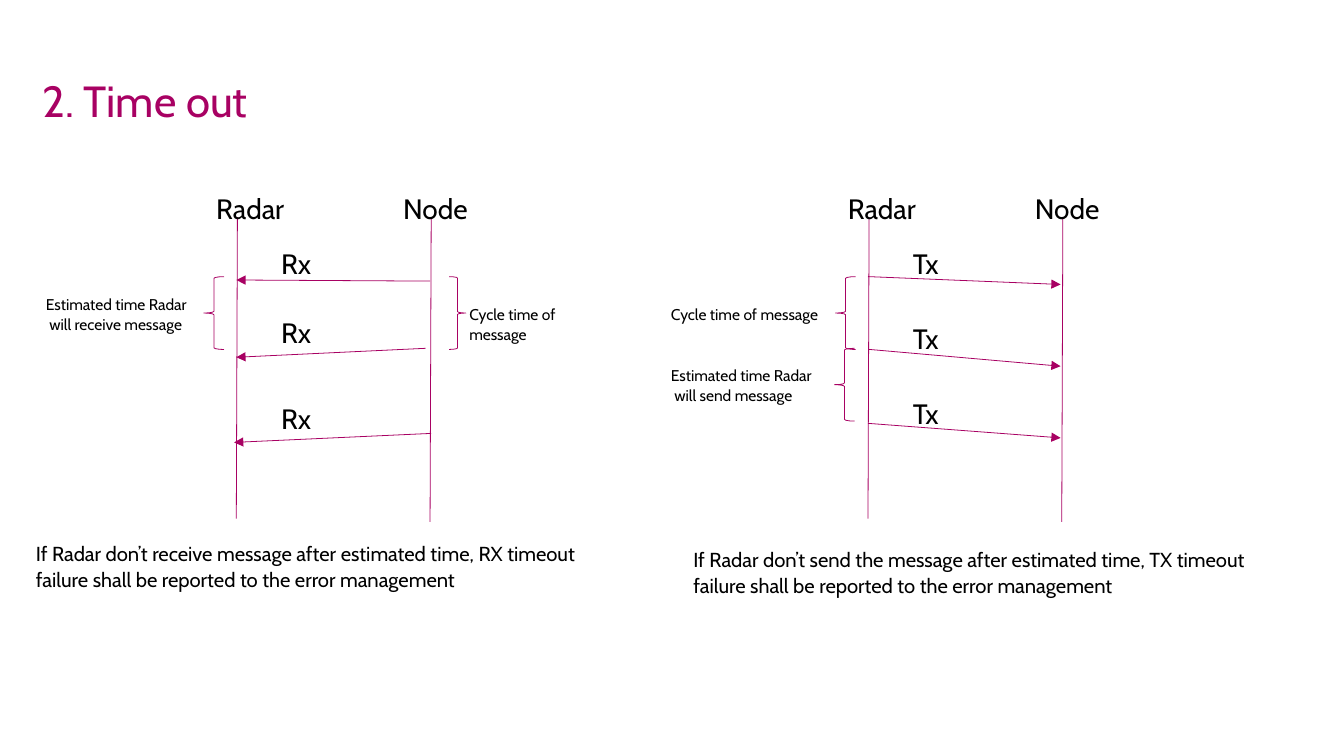
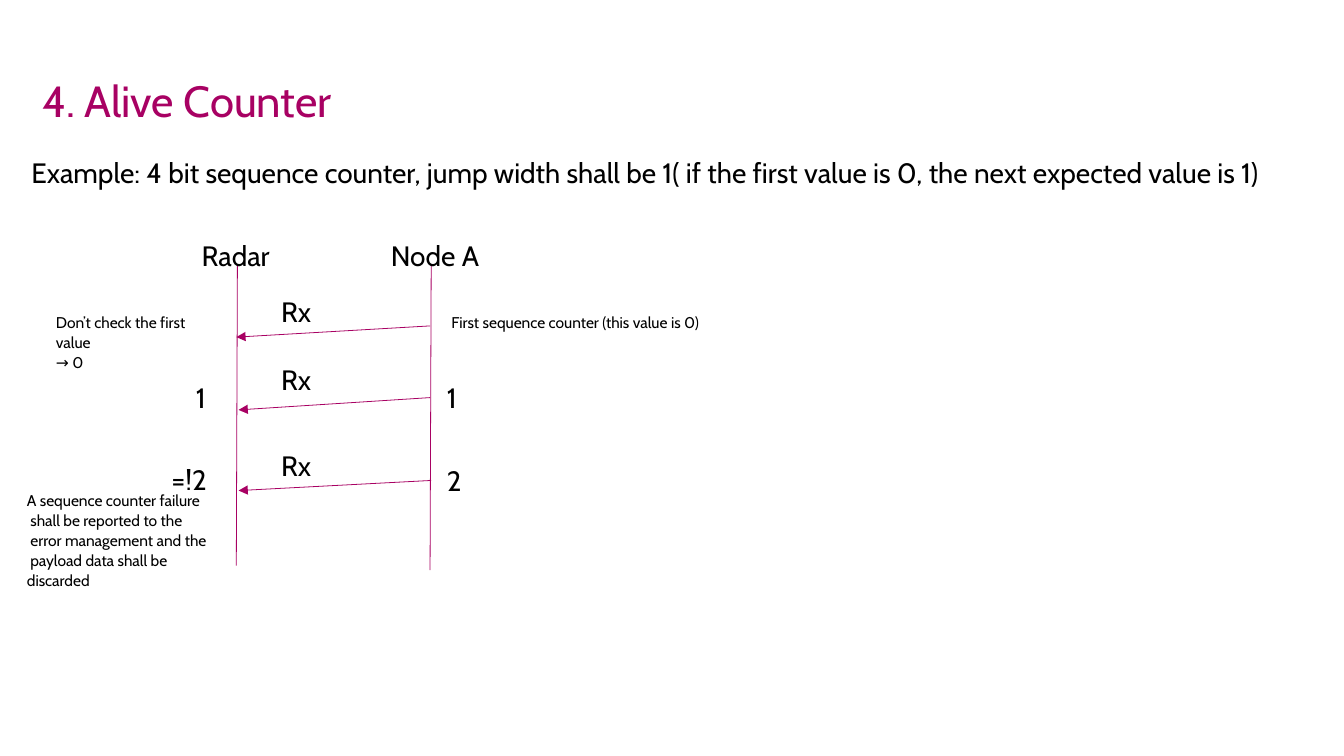
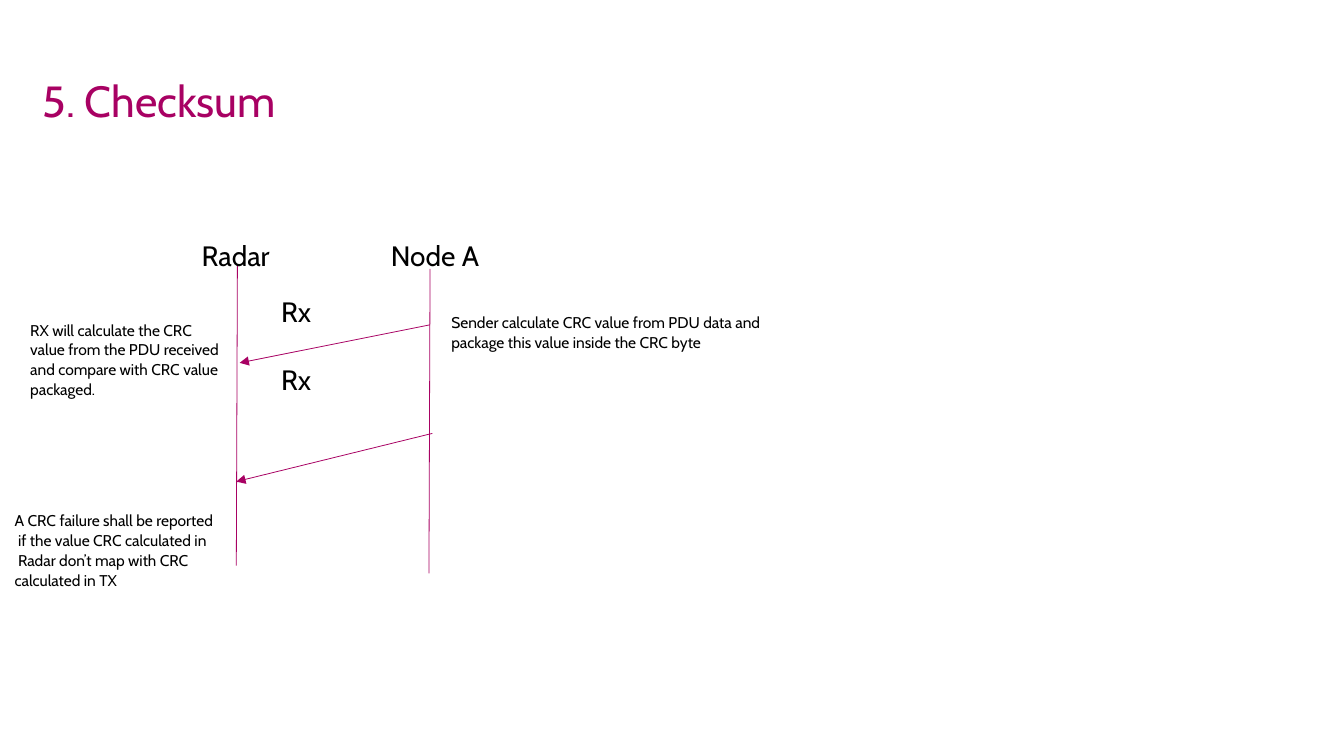
from dataclasses import dataclass

from lxml import etree
from pptx import Presentation
from pptx.dml.color import RGBColor
from pptx.enum import shapes, text
from pptx.oxml import ns
from pptx.util import Inches, Pt


@dataclass(frozen=True)
class Theme:
    font: str = "Cabin"
    plum: RGBColor = RGBColor(0xA8, 0x01, 0x63)
    black: RGBColor = RGBColor(0, 0, 0)
    head: int = 28
    label: int = 18
    body: int = 13
    small: int = 10
    stroke: float = 0.5


THEME = Theme()
LEFT, RIGHT = shapes.MSO_SHAPE.LEFT_BRACE, shapes.MSO_SHAPE.RIGHT_BRACE


# Text
def write(slide, words, box, size=THEME.label, color=THEME.black,
          wrap=False, pitch=1.07):
    frame = slide.shapes.add_textbox(*map(Inches, box)).text_frame
    frame.margin_left = frame.margin_right = 0
    frame.margin_top = frame.margin_bottom = 0
    frame.word_wrap = wrap
    para = frame.paragraphs[0]
    para.text = words
    para.alignment = text.PP_ALIGN.LEFT
    para.line_spacing = pitch
    for run in para.runs:
        run.font.name = THEME.font
        run.font.size = Pt(size)
        run.font.color.rgb = color


def note(slide, words, *box):
    write(slide, words, box, THEME.small)


def remark(slide, words, left, top):
    write(slide, words, (left, top, 4.98, 0.46), THEME.body, wrap=True)


def start(deck, title):
    slide = deck.slides.add_slide(deck.slide_layouts[6])
    write(slide, title, (0.38, 0.71, 8.99, 0.43), THEME.head, THEME.plum,
          wrap=True, pitch=0.9)
    return slide


# Lines and braces
def ink(line):
    line.color.rgb = THEME.plum
    line.width = Pt(THEME.stroke)


def rule(slide, *ends, arrow=False):
    link = slide.shapes.add_connector(
        shapes.MSO_CONNECTOR.STRAIGHT, *map(Inches, ends))
    ink(link.line)
    if arrow:
        tip = etree.SubElement(link.line._get_or_add_ln(), ns.qn("a:tailEnd"))
        tip.set("type", "triangle")
    etree.SubElement(link._element.spPr, ns.qn("a:effectLst"))


def brace(slide, kind, left, top, width=0.18):
    mark = slide.shapes.add_shape(
        kind, *map(Inches, (left, top, width, 0.65)))
    mark.shadow.inherit = False
    mark.fill.background()
    ink(mark.line)


# Sequence diagram: two lifelines, their messages and message labels
def chart(slide, rails, names, sends, word, left, tops):
    for ends in rails:
        rule(slide, *ends)
    for name, *box in names:
        write(slide, name, box)
    for ends in sends:
        rule(slide, *ends, arrow=True)
    for top in tops:
        write(slide, word, (left, top, 0.59, 0.29))


def timeout(deck):
    slide = start(deck, "2. Time out")
    shift = 5.64
    sides = (
        (0, "Rx", (2.18, 2.8, 3.56),
         ((3.84, 2.51, 2.11, 2.5), (3.8, 3.11, 2.11, 3.19),
          (3.85, 3.87, 2.09, 3.95))),
        (shift, "Tx", (2.18, 2.85, 3.52),
         ((7.75, 2.47, 9.47, 2.54), (7.76, 3.12, 9.47, 3.27),
          (7.75, 3.78, 9.47, 3.91))),
    )
    for dx, word, tops, sends in sides:
        rails = ((2.12 + dx, 1.94, 2.11 + dx, 4.63),
                 (3.85 + dx, 1.94, 3.84 + dx, 4.66))
        names = (("Radar", 1.93 + dx, 1.69, 1, 1),
                 ("Node", 3.6 + dx, 1.69, 0.74, 0.34))
        chart(slide, rails, names, sends, word, 2.51 + dx, tops)
        brace(slide, LEFT, 1.82 + dx, 2.47)
    brace(slide, RIGHT, 4.01, 2.47, 0.15)
    brace(slide, LEFT, 7.45, 3.11)

    cycle = "Cycle time of message"
    guess = "Estimated time Radar\n will {} message"
    note(slide, cycle, 4.19, 2.71, 0.9, 0.34)
    note(slide, cycle, 5.99, 2.71, 1.46, 0.25)
    note(slide, guess.format("receive"), 0.41, 2.62, 1.48, 0.65)
    note(slide, guess.format("send"), 5.99, 3.26, 1.48, 0.65)

    rest = ("If Radar don’t {} message after estimated time, {} timeout "
            "failure shall be reported to the error management")
    remark(slide, rest.format("receive", "RX"), 0.32, 4.82)
    remark(slide, rest.format("send the", "TX"), 6.19, 4.87)


NODES = (("Radar", 1.8, 2.11, 0.71, 0.28), ("Node A", 3.49, 2.11, 0.79, 0.26))
RADAR = (2.12, 2.36, 2.11, 5.05)


def alive(deck):
    slide = start(deck, "4. Alive Counter")
    write(slide, "Example: 4 bit sequence counter, jump width shall be 1( if "
          "the first value is 0, the next expected value is 1)",
          (0.28, 1.37, 11.72, 0.51))
    sends = ((3.84, 2.91, 2.11, 3.01), (3.84, 3.55, 2.13, 3.66),
             (3.85, 4.29, 2.13, 4.38))
    chart(slide, (RADAR, (3.85, 2.36, 3.84, 5.09)), NODES, sends,
          "Rx", 2.51, (2.61, 3.22, 3.98))

    # Counter values on both sides
    for value, *box in (("1", 3.99, 3.38, 1.06, 0.33),
                        ("1", 1.75, 3.38, 0.24, 0.24),
                        ("2", 3.99, 4.12, 1, 1),
                        ("=!2", 1.53, 4.11, 0.41, 0.27)):
        write(slide, value, box)
    note(slide, "First sequence counter (this value is 0)",
         4.03, 2.78, 2.44, 0.25)
    note(slide, "Don’t check the first value\n→ 0", 0.5, 2.78, 1.43, 0.41)
    note(slide, "A sequence counter failure\n shall be reported to the\n"
         " error management and the\n payload data shall be discarded",
         0.24, 4.37, 1.75, 1)


def check(deck):
    slide = start(deck, "5. Checksum")
    sends = ((3.84, 2.9, 2.14, 3.24), (3.86, 3.87, 2.11, 4.3))
    chart(slide, (RADAR, (3.84, 2.4, 3.83, 5.12)), NODES, sends,
          "Rx", 2.51, (2.61, 3.22))
    note(slide, "Sender calculate CRC value from PDU data and package this "
         "value inside the CRC byte", 4.03, 2.78, 2.79, 0.25)
    note(slide, "RX will calculate the CRC\nvalue from the PDU received\n"
         "and compare with CRC value\npackaged.", 0.27, 2.85, 1.87, 0.76)
    note(slide, "A CRC failure shall be reported\n if the value CRC calculated "
         "in\n Radar don’t map with CRC\ncalculated in TX",
         0.13, 4.55, 2.01, 0.7)


def main():
    deck = Presentation()
    deck.slide_width, deck.slide_height = Inches(12), Inches(6.75)
    timeout(deck)
    alive(deck)
    check(deck)
    deck.save("out.pptx")


if __name__ == "__main__":
    main()
